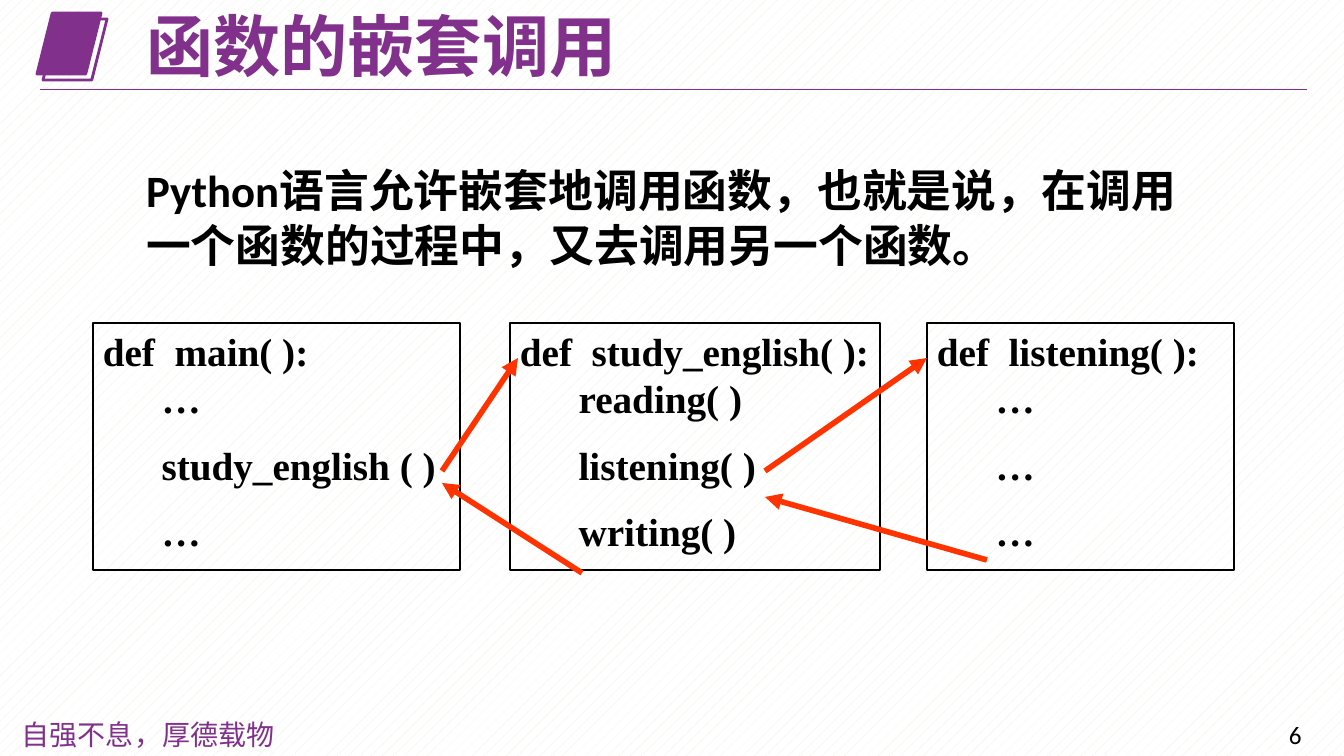
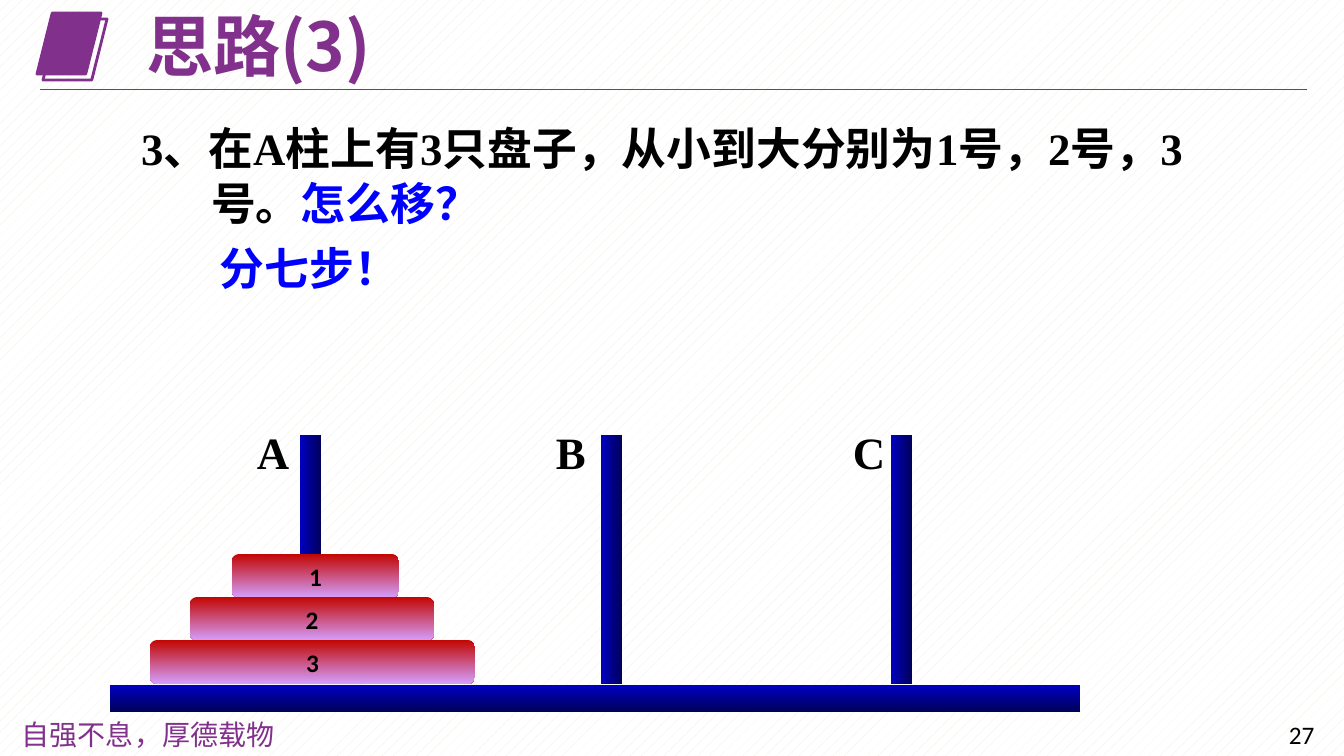
from lxml.etree import SubElement
from pptx import Presentation
from pptx.dml.color import RGBColor
from pptx.enum.dml import MSO_PATTERN
from pptx.enum.shapes import MSO_CONNECTOR, MSO_SHAPE
from pptx.enum.text import MSO_ANCHOR, MSO_AUTO_SIZE, PP_ALIGN
from pptx.oxml.ns import qn
from pptx.util import Emu, Pt

SLIDE_WIDTH, SLIDE_HEIGHT = 1344, 756
EMU_PER_PX = 12192000 / SLIDE_WIDTH

PURPLE, BLACK, BLUE, ORANGE = "81308C", "000000", "0000FF", "FF3300"
NAVY_BLEND = ("0000C2", "00005A")
DISC_BLEND = ("C20500", "D49FFF")
CJK = "Noto Sans CJK SC"

TITLE = {"font": CJK, "size": 48, "bold": True, "color": PURPLE, "line": 0.9}
MOTTO = {"font": "Noto Sans CJK JP", "size": 20, "color": PURPLE, "line": Pt(26)}
NUMBER = {"font": "Calibri", "size": 18, "color": BLACK}
BODY = {"font": "Calibri", "size": 32, "bold": True, "color": BLACK, "line": Pt(39)}
PUZZLE = {**BODY, "font": "Times New Roman"}
ANSWER = {**BODY, "font": "Roboto", "color": BLUE}
CODE = {**PUZZLE, "size": 28, "line": Pt(33.5)}
DISC = {**NUMBER, "bold": True, "align": PP_ALIGN.CENTER}


def px(length):
    return Emu(round(length * EMU_PER_PX))


def rgb(value):
    return RGBColor.from_string(value)


def set_all(target, values):
    for name, value in values.items():
        setattr(target, name, value)


class Deck:
    def __init__(self):
        self.prs = Presentation()
        self.prs.slide_width = px(SLIDE_WIDTH)
        self.prs.slide_height = px(SLIDE_HEIGHT)
        backdrop = self.prs.slide_master.background.fill
        backdrop.patterned()
        backdrop.pattern = MSO_PATTERN.PERCENT_10
        backdrop.fore_color.rgb = rgb("EEECE1")
        backdrop.back_color.rgb = rgb("FFFFFF")
        self.slide = None

    def new_slide(self, title, number):
        """Start a slide with its title, icon, rule and footer."""
        self.slide = self.prs.slides.add_slide(self.prs.slide_layouts[1])
        self.placeholder(0, (136, 11, 783, 77), [title], TITLE, anchor=MSO_ANCHOR.MIDDLE)
        icon = self.slide.shapes.add_group_shape()
        self.shape(MSO_SHAPE.PARALLELOGRAM, (37, 13, 64, 61), fill=PURPLE,
                   line=(PURPLE, 2), parent=icon)
        self.shape(MSO_SHAPE.PARALLELOGRAM, (43, 19, 64, 61),
                   line=(PURPLE, 2), parent=icon)
        self.line((40, 90), (1307, 90), PURPLE, 0.75)
        self.text((12, 710, 280, 44), ["自强不息，厚德载物"], MOTTO)
        self.text((1279, 714, 61, 40), [number], NUMBER)

    def set_text(self, shape, paragraphs, style, hanging=0, gaps=(), **frame_values):
        """Fill a shape; a paragraph is a string or a list of (text, colour) runs."""
        frame = shape.text_frame
        set_all(frame, {"word_wrap": True, "auto_size": MSO_AUTO_SIZE.NONE,
                        "vertical_anchor": MSO_ANCHOR.TOP, **frame_values})
        for index, content in enumerate(paragraphs):
            paragraph = frame.paragraphs[0] if index == 0 else frame.add_paragraph()
            properties = paragraph._p.get_or_add_pPr()
            properties.set("marL", str(px(hanging)))
            properties.set("indent", str(-px(hanging)))
            SubElement(properties, qn("a:buNone"))
            set_all(paragraph, {
                "alignment": style.get("align", PP_ALIGN.LEFT),
                "line_spacing": style.get("line", 1.0),
                "space_before": Pt(gaps[index] if gaps else 0),
                "space_after": Pt(0),
            })
            runs = [(content, style["color"])] if isinstance(content, str) else content
            for words, color in runs:
                run = paragraph.add_run()
                run.text = words
                set_all(run.font, {"name": style["font"], "size": Pt(style["size"]),
                                   "bold": style.get("bold", False)})
                run.font.color.rgb = rgb(color)
                east_asian = style["font"] if "CJK" in style["font"] else CJK
                SubElement(run._r.get_or_add_rPr(), qn("a:ea"), typeface=east_asian)

    def placeholder(self, index, box, paragraphs, style, hanging=0, anchor=MSO_ANCHOR.TOP):
        holder = self.slide.placeholders[index]
        set_all(holder, dict(zip(("left", "top", "width", "height"), map(px, box))))
        self.set_text(holder, paragraphs, style, hanging, vertical_anchor=anchor)

    def text(self, box, paragraphs, style):
        self.set_text(self.slide.shapes.add_textbox(*map(px, box)), paragraphs, style)

    def shape(self, preset, box, fill=None, line=None, parent=None):
        """Add a preset shape; fill is a colour or None, line is (colour, points)."""
        shape = (parent or self.slide).shapes.add_shape(preset, *map(px, box))
        shape.shadow.inherit = False
        if fill:
            shape.fill.solid()
            shape.fill.fore_color.rgb = rgb(fill)
        else:
            shape.fill.background()
        if line:
            shape.line.color.rgb = rgb(line[0])
            shape.line.width = Pt(line[1])
        else:
            shape.line.fill.background()
        return shape

    def blended(self, preset, box, blend, angle):
        """Add a shape with a two-colour gradient, angle counter-clockwise."""
        shape = self.shape(preset, box)
        shape.fill.gradient()
        shape.fill.gradient_angle = angle
        for stop, color in zip(shape.fill.gradient_stops, blend):
            stop.color.rgb = rgb(color)
        return shape

    def line(self, start, end, color, weight, arrow=False):
        line = self.slide.shapes.add_connector(
            MSO_CONNECTOR.STRAIGHT, *map(px, (*start, *end)))
        line.line.color.rgb = rgb(color)
        line.line.width = Pt(weight)
        if arrow:
            SubElement(line.get_or_add_ln(), qn("a:tailEnd"), type="triangle")
        SubElement(line._element.spPr, qn("a:effectLst"))


def nested_calls(deck):
    deck.new_slide("函数的嵌套调用", "6")
    deck.placeholder(1, (136, 157, 1072, 119), [
        "Python语言允许嵌套地调用函数，也就是说，在调用",
        "一个函数的过程中，又去调用另一个函数。",
    ], BODY, hanging=50)
    functions = [
        (367, ["def  main( ):", "      …", "      study_english ( )", "      …"]),
        (370, ["def  study_english( ):", "      reading( )",
               "      listening( )", "      writing( )"]),
        (307, ["def  listening( ):", "      …", "      …", "      …"]),
    ]
    for column, (width, code) in enumerate(functions):
        frame = deck.shape(MSO_SHAPE.RECTANGLE, (93 + 417 * column, 323, width, 247),
                           line=(BLACK, 1.5))
        deck.set_text(frame, code, CODE, gaps=(0, 0, 14, 14), margin_right=0)
    calls_and_returns = [
        ((442, 471), (518, 358)),
        ((765, 471), (927, 358)),
        ((987, 560), (765, 497)),
        ((582, 573), (442, 483)),
    ]
    for start, end in calls_and_returns:
        deck.line(start, end, ORANGE, 4, arrow=True)


def three_discs(deck):
    deck.new_slide("思路(3)", "27")
    deck.placeholder(1, (131, 115, 1064, 118), [[
        ("3、在A柱上有3只盘子，从小到大分别为1号，2号，3号。", BLACK),
        ("怎么移？", BLUE),
    ]], PUZZLE, hanging=70)
    deck.text((210, 235, 201, 64), ["分七步！"], ANSWER)
    for name, label_left, pole_left in (("A", 247, 300), ("B", 546, 601), ("C", 843, 891)):
        deck.blended(MSO_SHAPE.RECTANGLE, (pole_left, 435, 21, 249), NAVY_BLEND, 0)
        deck.text((label_left, 419, 53, 64), [name], PUZZLE)
    deck.blended(MSO_SHAPE.RECTANGLE, (110, 685, 970, 27), NAVY_BLEND, 270)
    for level, (left, width) in enumerate(((232, 167), (190, 244), (150, 325))):
        disc = deck.blended(MSO_SHAPE.ROUNDED_RECTANGLE,
                            (left, 554 + 43 * level, width, 44), DISC_BLEND, 270)
        disc.adjustments[0] = 0.17
        deck.set_text(disc, [str(level + 1)], DISC, vertical_anchor=MSO_ANCHOR.MIDDLE)


def main():
    deck = Deck()
    nested_calls(deck)
    three_discs(deck)
    deck.prs.save("out.pptx")


if __name__ == "__main__":
    main()
